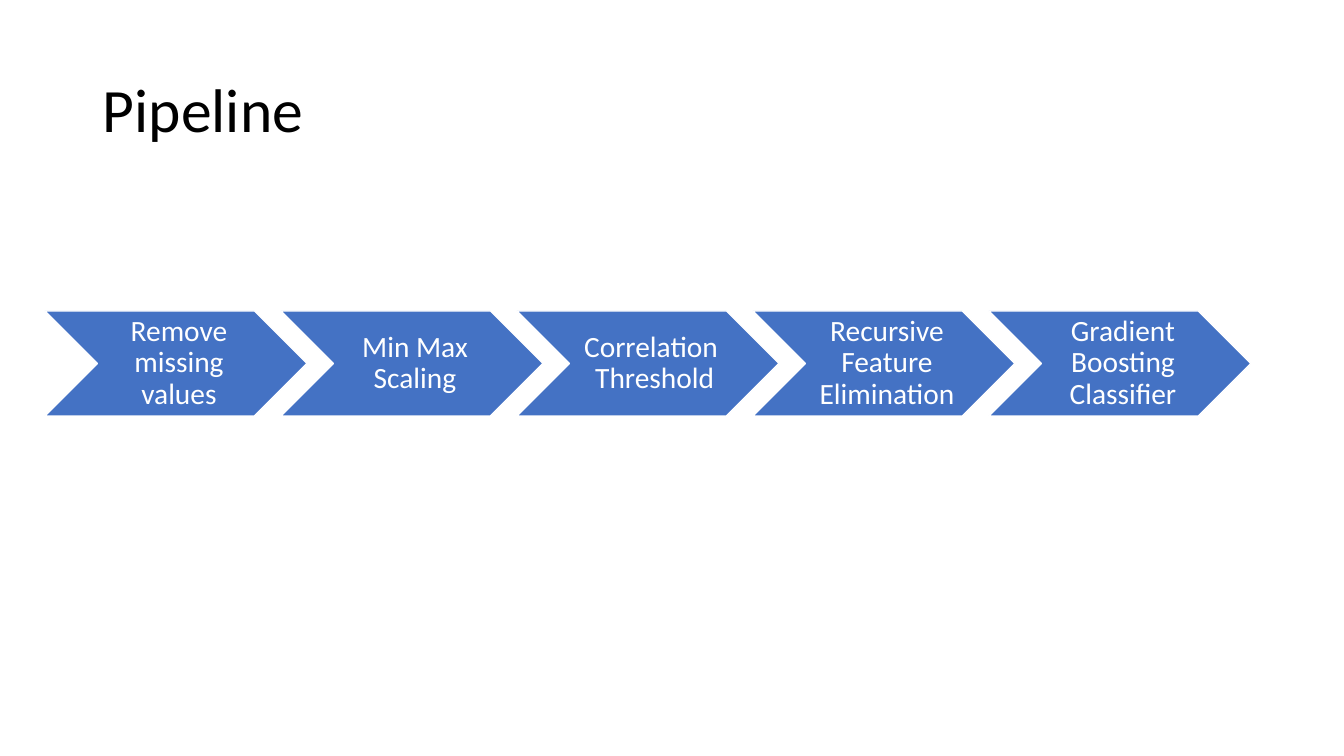
from pptx import Presentation
from pptx.dml.color import RGBColor
from pptx.enum.shapes import MSO_SHAPE as Shape
from pptx.enum.text import MSO_ANCHOR as Anchor, PP_ALIGN as Align
from pptx.util import Pt

THEME = {
    "font": "Calibri",
    "ink": RGBColor.from_string("000000"),
    "paper": RGBColor.from_string("FFFFFF"),
    "blue": RGBColor.from_string("4472C4"),
    "title_size": Pt(44),
    "step_size": Pt(21),
}
SCALE = 914400 / 100.8


def px(length):
    return round(length * SCALE)


def write(shape, text, size, color, align, margins):
    frame = shape.text_frame
    left, top, right, bottom = map(px, margins)
    settings = {
        "word_wrap": True,
        "vertical_anchor": Anchor.MIDDLE,
        "margin_left": left,
        "margin_top": top,
        "margin_right": right,
        "margin_bottom": bottom,
    }
    for name, value in settings.items():
        setattr(frame, name, value)
    para = frame.paragraphs[0]
    para.alignment = align
    para.line_spacing = 0.9
    span = para.add_run()
    span.text = text
    for name, value in {"name": THEME["font"], "size": size}.items():
        setattr(span.font, name, value)
    span.font.color.rgb = color
    return para


deck = Presentation()
deck.slide_width, deck.slide_height = px(1344), px(756)
page = deck.slides.add_slide(deck.slide_layouts[6])

title = page.shapes.add_textbox(px(93), px(40), px(1159), px(146))
write(title, "Pipeline", THEME["title_size"], THEME["ink"], Align.LEFT, (10, 5, 10, 5))

steps = [
    "Remove missing values",
    "Min Max Scaling",
    "Correlation Threshold ",
    "Recursive Feature Elimination",
    "Gradient Boosting Classifier",
]
first_left, step_pitch = 45, 236
for index, step in enumerate(steps):
    left = first_left + index * step_pitch
    chevron = page.shapes.add_shape(Shape.CHEVRON, px(left), px(311), px(262), px(105))
    chevron.shadow.inherit = False
    chevron.fill.solid()
    chevron.fill.fore_color.rgb = THEME["blue"]
    chevron.line.color.rgb = THEME["paper"]
    chevron.line.width = Pt(1)
    para = write(chevron, step, THEME["step_size"], THEME["paper"], Align.CENTER, (9, 3, 3, 3))
    para._p.get_or_add_pPr().set("rtl", "1")

deck.save("out.pptx")
